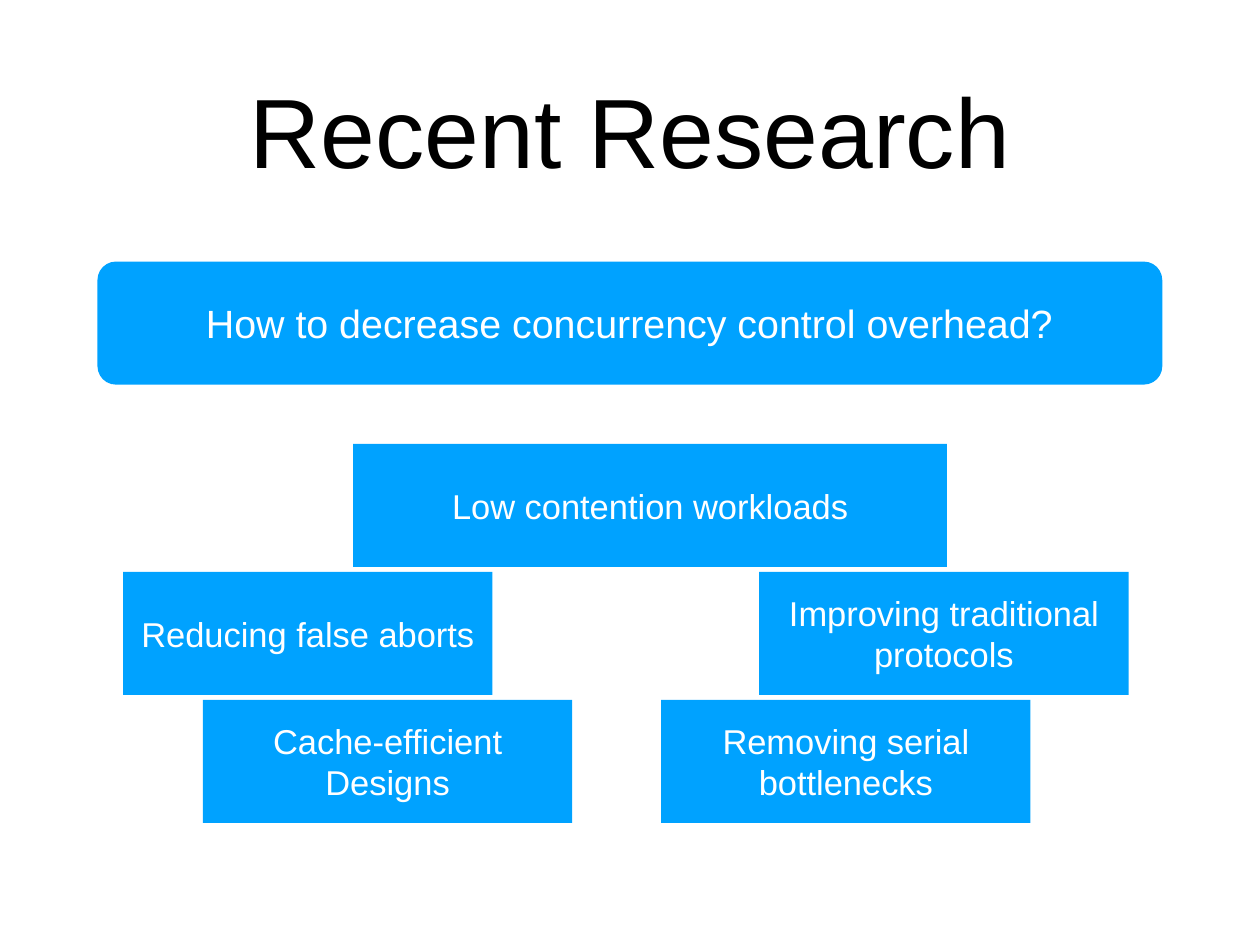
from dataclasses import dataclass

from pptx import Presentation
from pptx.dml.color import RGBColor
from pptx.enum.shapes import MSO_SHAPE
from pptx.enum.text import MSO_ANCHOR, PP_ALIGN
from pptx.shapes.autoshape import Shape
from pptx.slide import Slide
from pptx.util import Pt

BLUE = "00A2FF"
WHITE = "FFFFFF"
BLACK = "000000"
TOP = 360.8
STEP = 104
HIGH = 100
WIDE = 300.2
INSET = 4


@dataclass(frozen=True)
class Box:
    text: str
    left: float
    top: float
    width: float = WIDE
    size: float = 28
    kind: MSO_SHAPE = MSO_SHAPE.RECTANGLE


def row(index: int) -> float:
    return TOP + index * STEP


BOXES = [
    Box("How to decrease concurrency control overhead?", 79.2, 212.6, 865.4, 32,
        MSO_SHAPE.ROUNDED_RECTANGLE),
    Box("Cache-efficient Designs", 164.9, row(2)),
    Box("Removing serial bottlenecks", 537.3, row(2)),
    Box("Improving traditional protocols", 617, row(1)),
    Box("Reducing false aborts", 100, row(1)),
    Box("Low contention workloads", 287, row(0), 482.5),
]


def color(value: str) -> RGBColor:
    return RGBColor.from_string(value)


def write(shape: Shape, text: str, size: float, ink: str) -> None:
    frame = shape.text_frame
    frame.word_wrap = True
    frame.vertical_anchor = MSO_ANCHOR.MIDDLE
    frame.margin_left = frame.margin_right = Pt(INSET)
    frame.margin_top = frame.margin_bottom = Pt(INSET)
    line = frame.paragraphs[0]
    line.text = text
    line.alignment = PP_ALIGN.CENTER
    line.font.name = "Arial"
    line.font.size = Pt(size)
    line.font.color.rgb = color(ink)


def draw(slide: Slide, box: Box) -> None:
    shape = slide.shapes.add_shape(
        box.kind, Pt(box.left), Pt(box.top), Pt(box.width), Pt(HIGH))
    if box.kind == MSO_SHAPE.ROUNDED_RECTANGLE:
        shape.adjustments[0] = 0.15
    shape.shadow.inherit = False
    shape.fill.solid()
    shape.fill.fore_color.rgb = color(BLUE)
    shape.line.fill.background()
    write(shape, box.text, box.size, WHITE)


def main() -> None:
    deck = Presentation()
    deck.slide_width, deck.slide_height = Pt(1024), Pt(768)
    slide = deck.slides.add_slide(deck.slide_layouts[6])
    title = slide.shapes.add_textbox(Pt(75), Pt(20), Pt(874), Pt(170))
    write(title, "Recent Research", 80, BLACK)
    for box in BOXES:
        draw(slide, box)
    deck.save("out.pptx")


if __name__ == "__main__":
    main()
